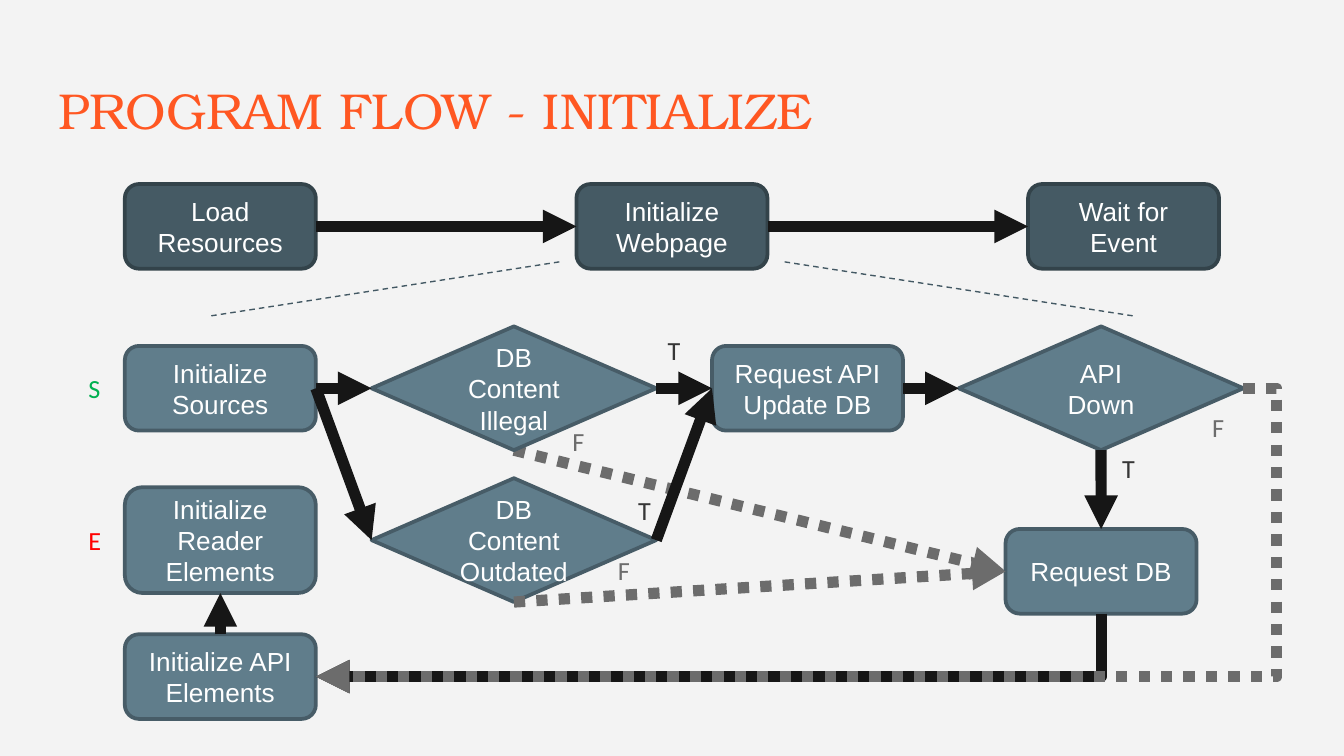
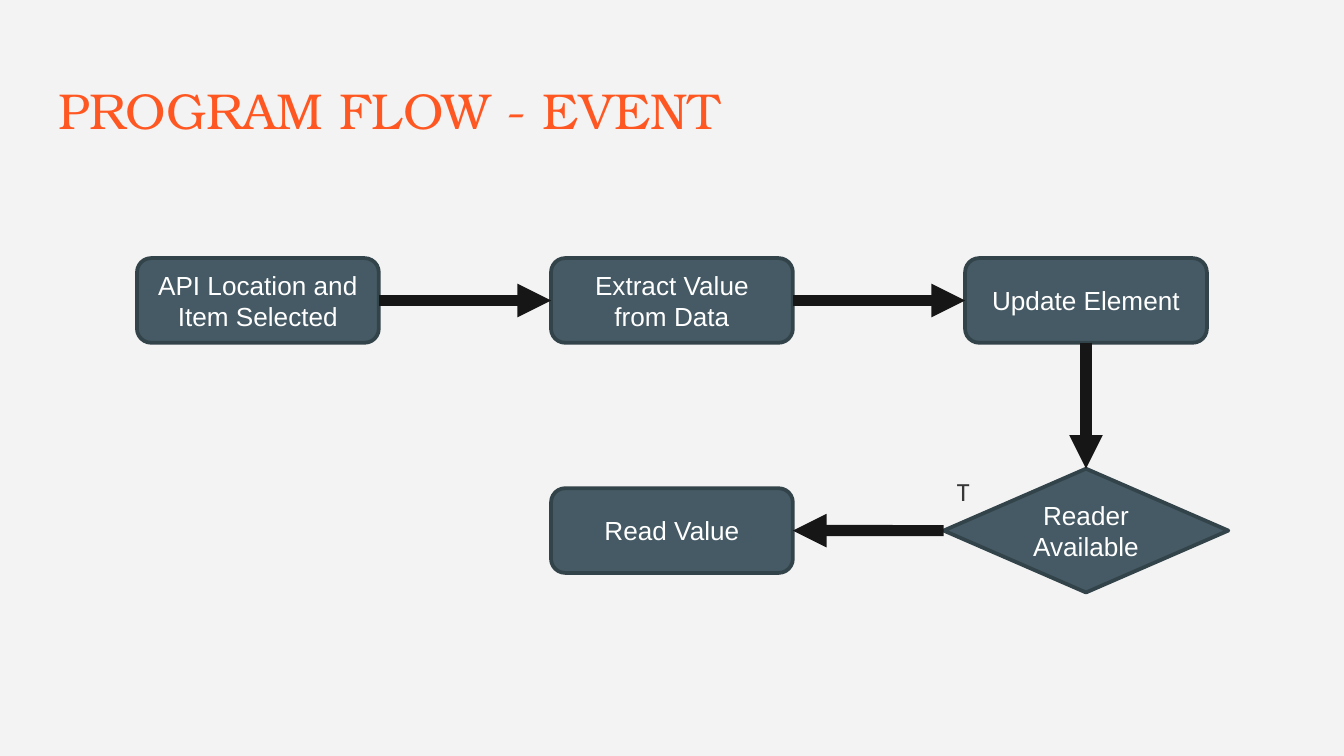
from itertools import pairwise

from lxml.etree import SubElement
from pptx import Presentation
from pptx.dml.color import RGBColor
from pptx.enum.dml import MSO_LINE
from pptx.enum.shapes import MSO_CONNECTOR, MSO_SHAPE
from pptx.enum.text import MSO_ANCHOR, MSO_AUTO_SIZE, PP_ALIGN
from pptx.oxml.ns import qn
from pptx.util import Cm, Pt

TOP, LEFT, BOTTOM, RIGHT = range(4)
STAGE = {"fill": "455A64", "line": "33434A"}
STEP = {"fill": "607D8B", "line": "475C67"}
TRUE_PATH = {"color": "161616", "width": Pt(6)}
FALSE_PATH = {"color": "6C6C6C", "width": Pt(6), "dash_style": MSO_LINE.ROUND_DOT}
ZOOM_LINE = {"color": "435863", "width": Pt(0.75), "dash_style": MSO_LINE.DASH}
TRUE_TEXT, FALSE_TEXT = "363636", "6C6C6C"
BOX_HEIGHT = 1.6
BOX_WIDTH = 3.61
DECISION_WIDTH, DECISION_HEIGHT = 5.38, 2.34


def rgb(value):
    return RGBColor.from_string(value)


def apply_format(target, values):
    for attribute, value in values.items():
        if attribute == "color":
            target.color.rgb = rgb(value)
        else:
            setattr(target, attribute, value)


def write(frame, wording, font, frame_format, alignment=PP_ALIGN.LEFT):
    apply_format(frame, frame_format)
    paragraph = frame.paragraphs[0]
    paragraph.alignment = alignment
    run = paragraph.add_run()
    run.text = wording
    apply_format(run.font, font)


def add_title(slide, wording, left=0.86, top=1.24, width=23.67, height=1.6):
    title = slide.shapes.add_textbox(Cm(left), Cm(top), Cm(width), Cm(height))
    inset = Cm(0.25)
    write(
        title.text_frame,
        wording,
        {"name": "TeX Gyre Bonum", "size": Pt(27), "color": "FF5722"},
        {
            "word_wrap": True,
            "margin_left": inset,
            "margin_right": inset,
            "margin_top": inset,
            "margin_bottom": inset,
        },
    )


def add_label(slide, letter, left, top, color):
    label = slide.shapes.add_textbox(Cm(left), Cm(top), Cm(0.76), Cm(0.86))
    write(
        label.text_frame,
        letter,
        {"name": "Calibri", "size": Pt(14), "color": color},
        {"word_wrap": False, "auto_size": MSO_AUTO_SIZE.SHAPE_TO_FIT_TEXT},
    )


def add_node(slide, wording, center_x, center_y, look, width=BOX_WIDTH,
             height=BOX_HEIGHT, outline=MSO_SHAPE.ROUNDED_RECTANGLE):
    node = slide.shapes.add_shape(
        outline, Cm(center_x - width / 2), Cm(center_y - height / 2), Cm(width), Cm(height)
    )
    node.shadow.inherit = False
    node.fill.solid()
    node.fill.fore_color.rgb = rgb(look["fill"])
    apply_format(node.line, {"color": look["line"], "width": Pt(2)})
    write(
        node.text_frame,
        wording,
        {"name": "Arial", "size": Pt(14), "color": "FFFFFF"},
        {"word_wrap": True, "vertical_anchor": MSO_ANCHOR.MIDDLE},
        PP_ALIGN.CENTER,
    )
    return node


def add_decision(slide, wording, center_x, center_y, look):
    return add_node(slide, wording, center_x, center_y, look, DECISION_WIDTH,
                    DECISION_HEIGHT, MSO_SHAPE.FLOWCHART_DECISION)


def style_line(connector, stroke):
    apply_format(connector.line, stroke)
    SubElement(connector._element.spPr, qn("a:effectLst"))


def link(slide, source, source_side, target, target_side, stroke=TRUE_PATH,
         route=MSO_CONNECTOR.STRAIGHT):
    arrow = slide.shapes.add_connector(route, 0, 0, 0, 0)
    arrow.begin_connect(source, source_side)
    arrow.end_connect(target, target_side)
    style_line(arrow, stroke)
    SubElement(arrow.line._get_or_add_ln(), qn("a:tailEnd"), type="triangle")
    return arrow


def turn_once(arrow):
    start_x, start_y = arrow.begin_x, arrow.begin_y
    end_x, end_y = arrow.end_x, arrow.end_y
    across, down = start_x - end_x, end_y - start_y
    properties = arrow._element.spPr
    frame = properties.find(qn("a:xfrm"))
    frame.attrib.clear()
    frame.set("rot", "5400000")
    properties.find(qn("a:prstGeom")).set("prst", "bentConnector2")
    apply_format(arrow, {
        "left": (start_x + end_x - down) // 2,
        "top": (start_y + end_y - across) // 2,
        "width": down,
        "height": across,
    })


def bend_outside(arrow, share):
    geometry = arrow._element.spPr.find(qn("a:prstGeom"))
    guides = geometry.find(qn("a:avLst"))
    if guides is None:
        guides = SubElement(geometry, qn("a:avLst"))
    SubElement(guides, qn("a:gd"), name="adj1", fmla=f"val {round(share * 100000)}")


def add_stages(slide, names, left, top, width, box_width):
    step = (width - box_width) / (len(names) - 1)
    stages = [
        add_node(slide, name, left + box_width / 2 + index * step,
                 top + BOX_HEIGHT / 2, STAGE, box_width)
        for index, name in enumerate(names)
    ]
    for before, after in pairwise(stages):
        link(slide, before, RIGHT, after, LEFT)
    return stages


def add_overview(slide, left, top, width, height):
    add_stages(slide, ["Load Resources", "Initialize Webpage", "Wait for Event"],
               left, top, width, BOX_WIDTH)
    middle = left + width / 2
    for side in (-1, 1):
        zoom = slide.shapes.add_connector(
            MSO_CONNECTOR.STRAIGHT,
            Cm(middle + side * 2.13), Cm(top + 1.47),
            Cm(middle + side * 8.71), Cm(top + height),
        )
        style_line(zoom, ZOOM_LINE)


def add_initialize_detail(slide, left, top, width, height):
    gap = (width - 2 * BOX_WIDTH - 2 * DECISION_WIDTH) / 3
    sources_x = left + BOX_WIDTH / 2
    check_x = left + BOX_WIDTH + gap + DECISION_WIDTH / 2
    update_x = check_x + DECISION_WIDTH / 2 + gap + BOX_WIDTH / 2
    down_x = left + width - DECISION_WIDTH / 2
    first_y = top + DECISION_HEIGHT / 2
    second_y = first_y + 2.87

    illegal = add_decision(slide, "DB Content Illegal", check_x, first_y, STEP)
    sources = add_node(slide, "Initialize Sources", sources_x, first_y, STEP)
    update = add_node(slide, "Request API Update DB", update_x, first_y, STEP)
    outdated = add_decision(slide, "DB Content Outdated", check_x, second_y, STEP)
    api_down = add_decision(slide, "API Down", down_x, first_y, STEP)
    request = add_node(slide, "Request DB", down_x, top + 4.63, STEP)
    api_elements = add_node(slide, "Initialize API Elements", sources_x,
                            top + height - BOX_HEIGHT / 2, STEP)
    reader = add_node(slide, "Initialize Reader Elements", sources_x, second_y,
                      STEP, height=2)

    legal = link(slide, illegal, BOTTOM, request, LEFT, FALSE_PATH)
    slide.shapes._spTree.insert(2, legal._element)
    for source, source_side, target, target_side in (
        (sources, RIGHT, illegal, LEFT),
        (illegal, RIGHT, update, LEFT),
        (sources, RIGHT, outdated, LEFT),
        (outdated, RIGHT, update, LEFT),
        (update, RIGHT, api_down, LEFT),
        (api_down, BOTTOM, request, TOP),
        (api_elements, TOP, reader, BOTTOM),
    ):
        link(slide, source, source_side, target, target_side)
    link(slide, outdated, BOTTOM, request, LEFT, FALSE_PATH)
    turn_once(link(slide, request, BOTTOM, api_elements, RIGHT, route=MSO_CONNECTOR.ELBOW))
    bend_outside(link(slide, api_down, RIGHT, api_elements, RIGHT, FALSE_PATH,
                      MSO_CONNECTOR.ELBOW), -0.036)

    for letter, x, y, color in (
        ("T", 10.01, 0.03, TRUE_TEXT),
        ("T", 9.45, 3.05, TRUE_TEXT),
        ("T", 18.6, 2.26, TRUE_TEXT),
        ("F", 8.21, 1.75, FALSE_TEXT),
        ("F", 9.07, 4.19, FALSE_TEXT),
        ("F", 20.3, 1.48, FALSE_TEXT),
        ("S", -0.94, 0.74, "00B050"),
        ("E", -0.94, 3.61, "FF0000"),
    ):
        add_label(slide, letter, left + x, top + y, color)


def add_event_flow(slide, left, top, width, height):
    box_width = 4.57
    _, extract, update = add_stages(
        slide,
        ["API Location and Item Selected", "Extract Value from Data", "Update Element"],
        left, top, width, box_width,
    )
    reader_x = left + width - box_width / 2
    reader_y = top + height - DECISION_HEIGHT / 2
    reader = add_decision(slide, "Reader Available", reader_x, reader_y, STAGE)
    read = add_node(slide, "Read Value", left + width / 2, reader_y, STAGE, box_width)
    link(slide, update, BOTTOM, reader, TOP)
    link(slide, reader, LEFT, read, RIGHT)
    add_label(slide, "T", reader_x - DECISION_WIDTH / 2,
              reader_y - DECISION_HEIGHT / 2, TRUE_TEXT)


def add_flow_slide(deck, title):
    slide = deck.slides.add_slide(deck.slide_layouts[6])
    slide.background.fill.solid()
    slide.background.fill.fore_color.rgb = rgb("F3F3F3")
    add_title(slide, title)
    return slide


def main():
    deck = Presentation()
    apply_format(deck, {"slide_width": Cm(25.4), "slide_height": Cm(14.29)})
    initialize = add_flow_slide(deck, "PROGRAM FLOW - INITIALIZE")
    add_overview(initialize, 2.36, 3.48, 20.68, 2.49)
    add_initialize_detail(initialize, 2.36, 6.17, 21.14, 7.42)
    event = add_flow_slide(deck, "PROGRAM FLOW - EVENT")
    add_event_flow(event, 2.59, 4.88, 20.22, 6.32)
    deck.save("out.pptx")


if __name__ == "__main__":
    main()
